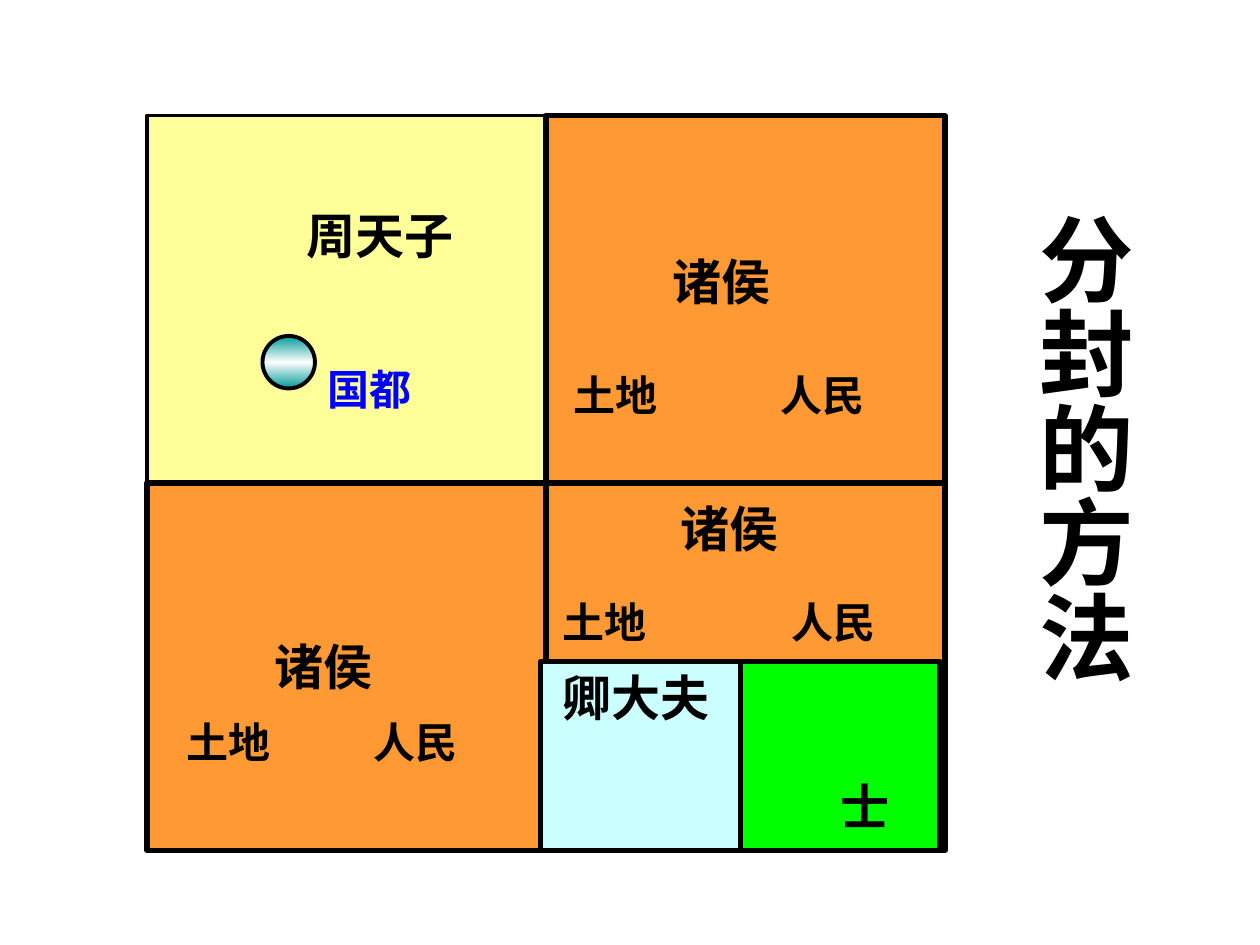
from copy import deepcopy

from pptx import Presentation
from pptx.dml.color import RGBColor
from pptx.enum.shapes import MSO_SHAPE
from pptx.enum.text import MSO_AUTO_SIZE, PP_ALIGN
from pptx.oxml.ns import qn
from pptx.util import Pt

RECTANGLE = MSO_SHAPE.RECTANGLE
CAPITAL_MARK = MSO_SHAPE.FLOWCHART_CONNECTOR
FIT_SHAPE = MSO_AUTO_SIZE.SHAPE_TO_FIT_TEXT
LEFT, CENTER = PP_ALIGN.LEFT, PP_ALIGN.CENTER

FONT = "Times New Roman"
BLACK, BLUE = "000000", "0000FF"
KING, LORD, MINISTER, SCHOLAR = "FFFF99", "FF9933", "CCFFFF", "00FF00"
CAPITAL_STOPS = [(0, "009999"), (0.5, "FFFFFF"), (1, "009999")]

# The realm is a two by two grid; the last lord's cell is divided again.
REALM_LEFT, REALM_TOP = 84, 66
CELL_WIDTH, CELL_HEIGHT = 228, 210
LORD_CELLS = [(1, 0), (1, 1), (0, 1)]  # column, row
MINISTER_LEFT, MINISTER_TOP, MINISTER_HEIGHT = 309, 378, 108

# text, left, top, width
RANKS = [
    ("周天子", 168, 114, 102),
    ("诸侯", 377, 140, 136),
    ("诸侯", 150, 360, 136),
    ("诸侯", 382, 281.5, 79),
    ("卿大夫", 314.5, 378, 108),
    ("士", 473, 440, 60),
]
# left of land, left of people, top
GRANTS = [(320.5, 439, 207.5), (99.5, 206.5, 406), (314.5, 445, 337.5)]


def rgb(value):
    return RGBColor.from_string(value)


def add_area(slide, left, top, width, height, fill=None, line=3, kind=RECTANGLE):
    shape = slide.shapes.add_shape(kind, Pt(left), Pt(top), Pt(width), Pt(height))
    shape.shadow.inherit = False
    shape.line.color.rgb = rgb(BLACK)
    shape.line.width = Pt(line)
    if fill:
        shape.fill.solid()
        shape.fill.fore_color.rgb = rgb(fill)
    return shape


def fill_gradient(shape, stops):
    """Apply a vertical gradient of three stops."""
    shape.fill.gradient()
    shape.fill.gradient_angle = 90
    stop_list = shape._element.spPr.find(qn("a:gradFill")).find(qn("a:gsLst"))
    stop_list.append(deepcopy(stop_list[0]))
    for stop, (position, color) in zip(shape.fill.gradient_stops, stops):
        stop.position = position
        stop.color.rgb = rgb(color)


def add_text(slide, text, left, top, width, height=36, size=24, color=BLACK,
             align=LEFT, vertical=False):
    box = slide.shapes.add_textbox(Pt(left), Pt(top), Pt(width), Pt(height))
    frame = box.text_frame
    frame.word_wrap = True
    frame.auto_size = FIT_SHAPE
    if vertical:
        frame._txBody.bodyPr.set("vert", "eaVert")
    side, end = (3.6, 7.2) if vertical else (7.2, 3.6)
    frame.margin_left = frame.margin_right = Pt(side)
    frame.margin_top = frame.margin_bottom = Pt(end)
    paragraph = frame.paragraphs[0]
    paragraph.alignment = align
    run = paragraph.add_run()
    run.text = text
    run.font.name = FONT
    run.font.size = Pt(size)
    run.font.bold = True
    run.font.color.rgb = rgb(color)


def main():
    presentation = Presentation()
    presentation.slide_width, presentation.slide_height = Pt(720), Pt(540)
    slide = presentation.slides.add_slide(presentation.slide_layouts[6])

    add_area(slide, REALM_LEFT, REALM_TOP, 2 * CELL_WIDTH, 2 * CELL_HEIGHT, KING, line=2)
    capital = add_area(slide, 150, 192, 30, 30, line=2.25, kind=CAPITAL_MARK)
    fill_gradient(capital, CAPITAL_STOPS)
    for column, row in LORD_CELLS:
        add_area(slide, REALM_LEFT + column * CELL_WIDTH, REALM_TOP + row * CELL_HEIGHT,
                 CELL_WIDTH, CELL_HEIGHT, LORD)
    add_area(slide, MINISTER_LEFT, MINISTER_TOP, CELL_WIDTH, MINISTER_HEIGHT, MINISTER)
    add_area(slide, MINISTER_LEFT + CELL_WIDTH / 2, MINISTER_TOP,
             CELL_WIDTH / 2, MINISTER_HEIGHT, SCHOLAR)

    for text, left, top, width in RANKS:
        add_text(slide, text, left, top, width, height=41, size=28)
    for land_left, people_left, top in GRANTS:
        add_text(slide, "土地", land_left, top, 78)
        add_text(slide, "人民", people_left, top, 78)
    add_text(slide, "国都", 180, 204, 78, color=BLUE)
    add_text(slide, "分封的方法", 576, 114, 79, height=294.5, size=54,
             align=CENTER, vertical=True)

    presentation.save("out.pptx")


if __name__ == "__main__":
    main()
